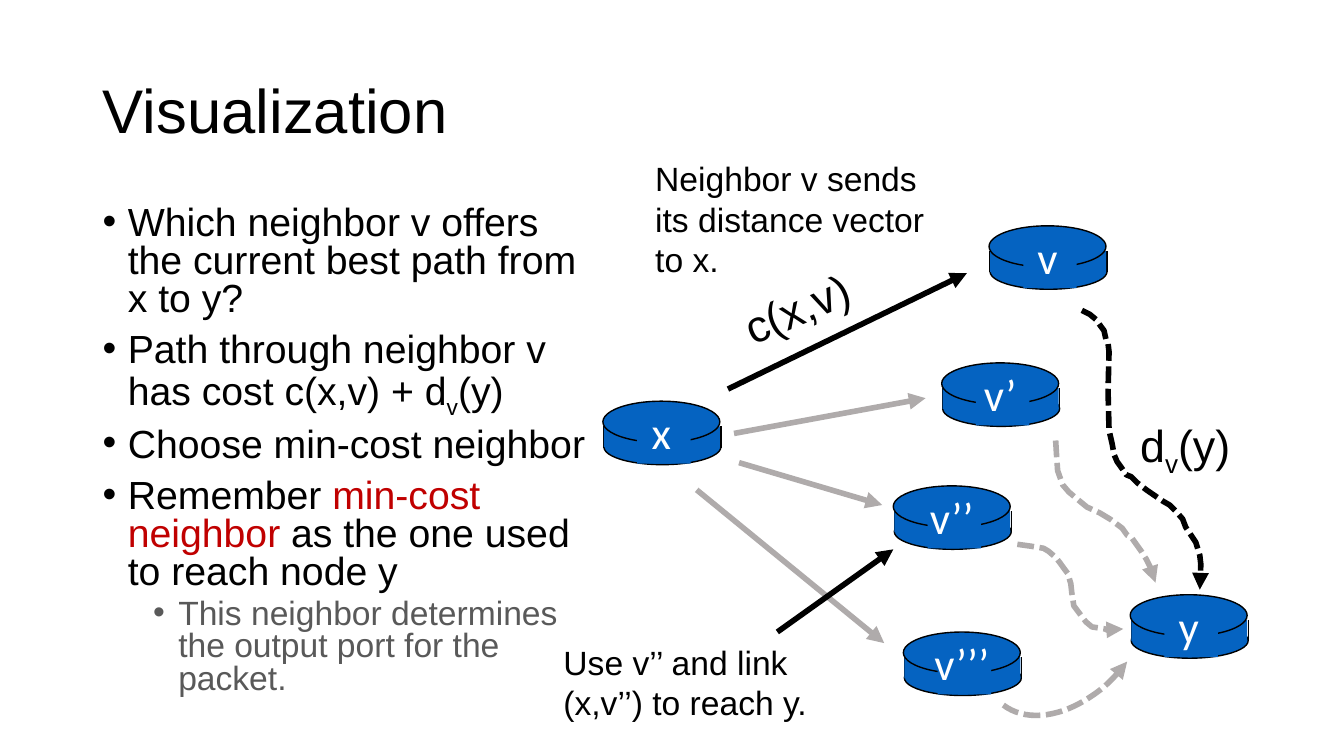
from lxml import etree
from pptx import Presentation
from pptx.dml.color import RGBColor
from pptx.enum import dml, shapes, text
from pptx.oxml import ns
from pptx.util import Inches, Pt

COLORS = {
    "black": "000000",
    "white": "FFFFFF",
    "router": "0563C1",
    "faded": "AFABAB",
    "accent": "C00000",
    "detail": "595959",
}


def write_runs(paragraph, runs, size, font="Arial"):
    for content, color, baseline in runs:
        run = paragraph.add_run()
        run.text = content
        run.font.name = font
        run.font.size = Pt(size)
        run.font.color.rgb = RGBColor.from_string(COLORS[color])
        if baseline:
            run._r.get_or_add_rPr().set("baseline", str(baseline))


def style_stroke(shape, color, width, arrow=None, dashed=False):
    shape.line.color.rgb = RGBColor.from_string(COLORS[color])
    shape.line.width = Pt(width)
    if dashed:
        shape.line.dash_style = dml.MSO_LINE.SQUARE_DOT
    if arrow:
        line_end = etree.SubElement(shape.line._get_or_add_ln(), ns.qn(f"a:{arrow}"))
        line_end.set("type", "triangle")
    if shape._element.spPr.find(ns.qn("a:effectLst")) is None:
        etree.SubElement(shape._element.spPr, ns.qn("a:effectLst"))


presentation = Presentation()
presentation.slide_width = Inches(13.33)
presentation.slide_height = Inches(7.5)
slide = presentation.slides.add_slide(presentation.slide_layouts[5])

title = slide.shapes.title
title.left, title.top, title.width, title.height = map(Inches, (0.92, 0.4, 11.5, 1.45))
title.text_frame.vertical_anchor = text.MSO_ANCHOR.MIDDLE
paragraph = title.text_frame.paragraphs[0]
paragraph.alignment = text.PP_ALIGN.LEFT
paragraph.line_spacing = 0.9
write_runs(paragraph, [("Visualization", "black", 0)], 44)

bullets = [
    (0, [("Which neighbor v offers the current best path from x to y?", "black", 0)]),
    (0, [("Path through neighbor v has cost c(x,v) + d", "black", 0),
         ("v", "black", -25000), ("(y)", "black", 0)]),
    (0, [("Choose min-cost neighbor", "black", 0)]),
    (0, [("Remember ", "black", 0), ("min-cost neighbor ", "accent", 0),
         ("as the one used to reach node y", "black", 0)]),
    (1, [("This neighbor determines the output port for the packet.", "detail", 0)]),
]
body = slide.shapes.add_textbox(Inches(0.92), Inches(2), Inches(5.04), Inches(5.35))
body.text_frame.word_wrap = True
for index, (level, runs) in enumerate(bullets):
    paragraph = body.text_frame.paragraphs[0] if index == 0 else body.text_frame.add_paragraph()
    paragraph.level = level
    paragraph.line_spacing = 0.8
    if index:
        paragraph.space_before = Pt(5 if level else 10)
    properties = paragraph._p.get_or_add_pPr()
    properties.set("marL", str(Inches(0.25 + 0.5 * level)))
    properties.set("indent", str(Inches(-0.25)))
    etree.SubElement(properties, ns.qn("a:buFont")).set("typeface", "Arial")
    etree.SubElement(properties, ns.qn("a:buChar")).set("char", "•")
    write_runs(paragraph, runs, 24 if level else 28)

ELLIPSE = shapes.MSO_SHAPE.OVAL
RECTANGLE = shapes.MSO_SHAPE.RECTANGLE
STRAIGHT = shapes.MSO_CONNECTOR.STRAIGHT
base_parts = [(ELLIPSE, 0.01, 0.28, 1.16, 0.35, True)]
upper_parts = [
    (RECTANGLE, 0.01, 0.25, 1.15, 0.21, False),
    (ELLIPSE, 0, 0, 1.16, 0.41, True),
    (RECTANGLE, 0.34, 0.05, 0.53, 0.57, False),
]
routers = [
    ("x", 5.98, 3.98),
    ("v", 9.81, 2.24),
    ("y", 11.21, 5.9),
    ("v’", 9.34, 3.6),
    ("v’’", 8.86, 4.82),
    ("v’’’", 8.96, 6.27),
]
for name, left, top in routers:
    router = slide.shapes.add_group_shape()
    for parts in (base_parts, upper_parts):
        for kind, dx, dy, width, height, outlined in parts:
            part = router.shapes.add_shape(
                kind, Inches(left + dx), Inches(top + dy), Inches(width), Inches(height))
            part.shadow.inherit = False
            part.fill.solid()
            part.fill.fore_color.rgb = RGBColor.from_string(COLORS["router"])
            if outlined:
                style_stroke(part, "black", 1)
            else:
                part.line.fill.background()
        if parts is base_parts:
            for dx in (0.01, 1.17):
                side = router.shapes.add_connector(
                    STRAIGHT, Inches(left + dx), Inches(top + 0.25),
                    Inches(left + dx), Inches(top + 0.46))
                style_stroke(side, "black", 1)
    label_width = 0.29 + 0.12 * len(name)
    label = router.shapes.add_textbox(
        Inches(left + 0.58 - label_width / 2), Inches(top - 0.01),
        Inches(label_width), Inches(0.64))
    label.text_frame.word_wrap = False
    label.text_frame.auto_size = text.MSO_AUTO_SIZE.SHAPE_TO_FIT_TEXT
    label.text_frame.paragraphs[0].alignment = text.PP_ALIGN.CENTER
    write_runs(label.text_frame.paragraphs[0], [(name, "white", 0)], 32, "Calibri")

links = [
    ("black", 7.22, 3.86, 9.59, 2.71),
    ("faded", 7.28, 4.3, 9.18, 3.95),
    ("faded", 7.33, 4.59, 8.75, 5.01),
    ("faded", 6.91, 4.86, 8.77, 6.38),
    ("black", 7.71, 6.27, 8.86, 5.45),
]
for color, *ends in links:
    link = slide.shapes.add_connector(STRAIGHT, *map(Inches, ends))
    style_stroke(link, color, 4, "tailEnd")

routes = [
    ("black", [
        (10.73, 3.08), (10.81, 3.12), (10.87, 3.17), (10.92, 3.24), (10.95, 3.28),
        (10.97, 3.37), (10.99, 3.41), (11, 3.49), (10.99, 3.88), (11, 4.27),
        (11.03, 4.4), (11.05, 4.51), (11.08, 4.58), (11.13, 4.65), (11.17, 4.71),
        (11.22, 4.73), (11.28, 4.79), (11.37, 4.86), (11.53, 4.97), (11.6, 5.01),
        (11.67, 5.08), (11.73, 5.15), (11.76, 5.23), (11.82, 5.32), (11.86, 5.38),
        (11.9, 5.51), (11.91, 5.6), (11.9, 5.85)]),
    ("faded", [
        (10.47, 4.37), (10.48, 4.53), (10.49, 4.67), (10.54, 4.81), (10.6, 4.88),
        (10.67, 4.94), (10.78, 5.03), (10.91, 5.09), (11.01, 5.15), (11.13, 5.24),
        (11.18, 5.31), (11.22, 5.33), (11.27, 5.4), (11.32, 5.47), (11.37, 5.55),
        (11.41, 5.63), (11.44, 5.71), (11.46, 5.78)]),
    ("faded", [
        (10.09, 5.4), (10.23, 5.42), (10.35, 5.44), (10.4, 5.47), (10.47, 5.53),
        (10.51, 5.58), (10.56, 5.65), (10.59, 5.69), (10.62, 5.79), (10.63, 5.88),
        (10.65, 6.01), (10.71, 6.09), (10.77, 6.17), (10.83, 6.22), (10.96, 6.24),
        (11, 6.26), (11.14, 6.24)]),
]
for color, points in routes:
    start, *rest = [(Inches(x), Inches(y)) for x, y in points]
    builder = slide.shapes.build_freeform(*start)
    builder.add_line_segments(rest, close=False)
    route = builder.convert_to_shape()
    route.shadow.inherit = False
    route.fill.background()
    style_stroke(route, color, 4, "tailEnd", dashed=True)

last_route = slide.shapes.add_shape(
    shapes.MSO_SHAPE.ARC, Inches(9.52), Inches(5.41), Inches(2.17), Inches(1.44))
last_route.rotation = 127.1
last_route.shadow.inherit = False
last_route.fill.background()
style_stroke(last_route, "faded", 4, "headEnd", dashed=True)

notes = [
    (7.24, 2.64, 1.78, 0.64, 336.9, 32, [("c(x,v)", "black", 0)]),
    (6.4, 1.52, 3.19, 1.31, 0, 24,
     [("Neighbor v sends its distance vector to x.", "black", 0)]),
    (11.21, 4.09, 1.78, 0.64, 0, 32,
     [("d", "black", 0), ("v", "black", -25000), ("(y)", "black", 0)]),
    (5.49, 6.32, 2.66, 0.91, 0, 24,
     [("Use v’’ and link (x,v’’) to reach y.", "black", 0)]),
]
for left, top, width, height, angle, size, runs in notes:
    note = slide.shapes.add_textbox(Inches(left), Inches(top), Inches(width), Inches(height))
    note.rotation = angle
    note.text_frame.word_wrap = True
    note.text_frame.auto_size = text.MSO_AUTO_SIZE.SHAPE_TO_FIT_TEXT
    write_runs(note.text_frame.paragraphs[0], runs, size)

presentation.save("out.pptx")
